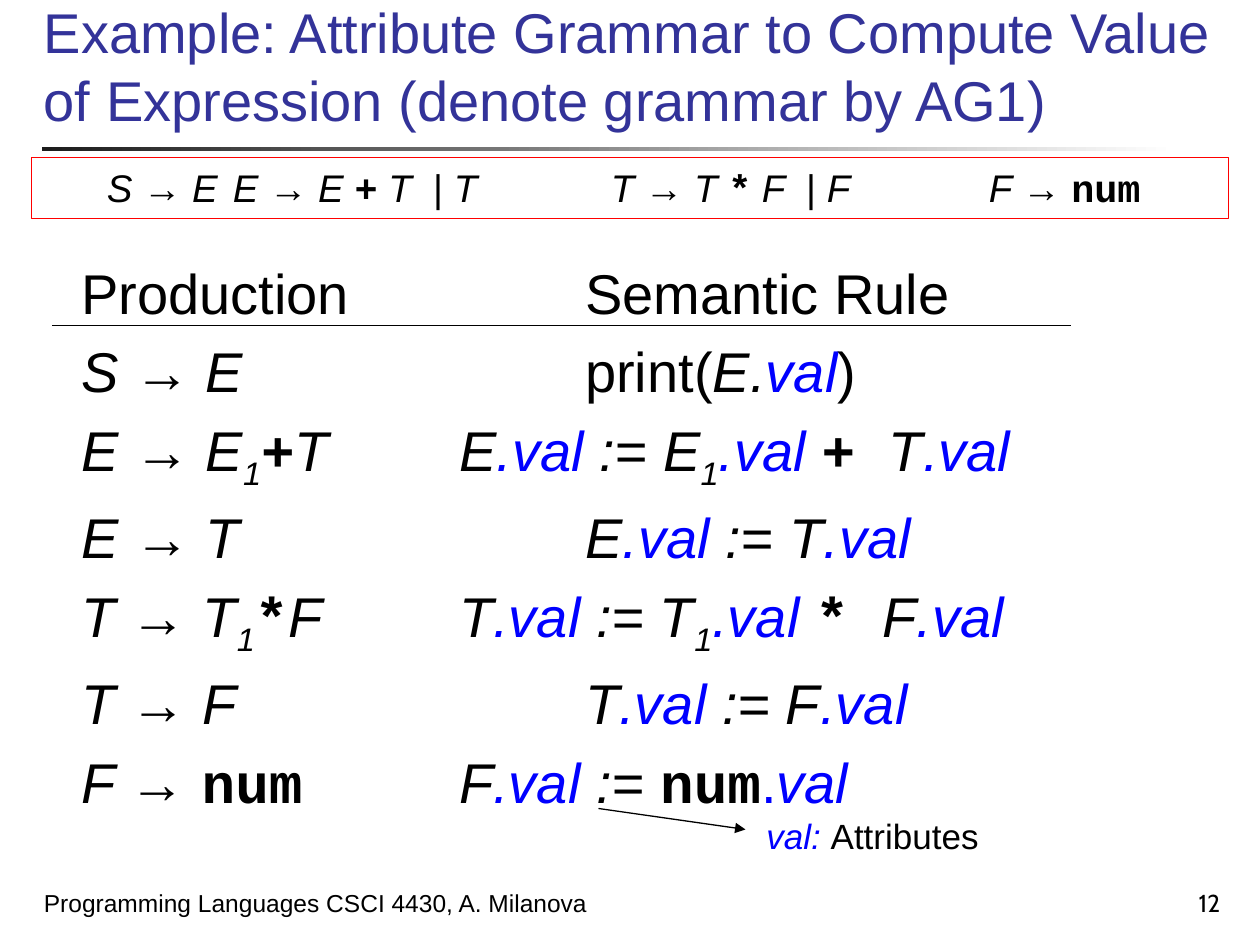
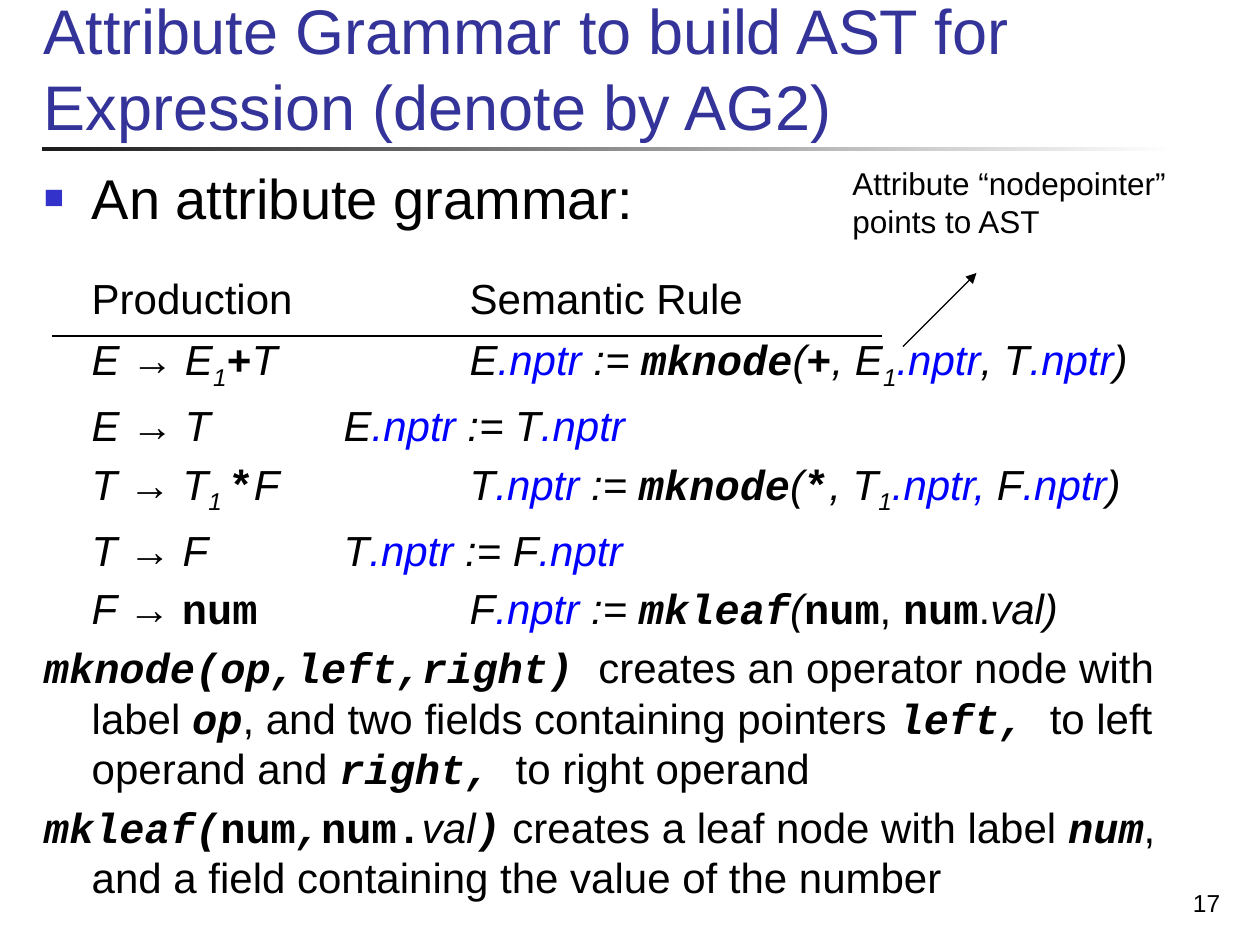
from lxml.etree import SubElement
from pptx import Presentation
from pptx.dml.color import RGBColor
from pptx.enum.shapes import MSO_CONNECTOR as Connector, MSO_SHAPE as Preset
from pptx.enum.text import MSO_ANCHOR as Anchor, PP_ALIGN as Align
from pptx.oxml.ns import qn
from pptx.util import Inches, Pt

COLORS = {"ink": "000000", "title": "333399", "attribute": "0000FF",
          "bullet": "3333CC", "frame": "FF0000", "band": "1C1C1C", "paper": "FFFFFF"}
SANS, MONO, NUMBER_FONT = "Arial", "Courier New", "Cabin"

# The slide is a grid of 120 columns by 90 rows
COLS, ROWS = 120, 90
WIDTH, HEIGHT = Inches(10), Inches(7.5)
HANG, TAB = Inches(0.38), Inches(1)

# Styles for the {marks} inside text
STYLES = {
    "r": {},
    "big": {"size": 32},
    "i": {"italic": True},
    "sub": {"italic": True, "base": -25000},
    "a": {"italic": True, "color": "attribute"},
    "dot": {"color": "attribute"},
    "c": {"bold": True, "font": MONO},
    "ci": {"bold": True, "italic": True, "font": MONO},
}

GRAMMAR = ("{i}S → E\tE → E {c}+{i} T  {r}|{i} T\t\tT → T {c}*{i} F  {r}|"
           "{i} F\t\tF → {c}num")

VALUE_RULES = [
    "\tProduction\t\tSemantic Rule",
    "\t{i}S → E{r}\t\t\tprint({i}E.{a}val{r})",
    "\t{i}E → E{sub}1{c}+{i}T\t\tE{a}.val{i} := E{sub}1{a}.val {c}+ {i}T{a}.val",
    "\t{i}E → T\t\t\tE{a}.val{i} := T{a}.val",
    "\t{i}T → T{sub}1{c}*{i}F\t\tT{a}.val{i} := T{sub}1{a}.val {c}* {i}F{a}.val",
    "\t{i}T → F\t\t\tT{a}.val{i} := F{a}.val",
    "\t{i}F → {c}num{i}\t\tF{a}.val{i} := {c}num{dot}.{a}val",
]

TREE_RULES = [
    "{big}\t{r}Production\t\tSemantic Rule",
    "\t{i}E → E{sub}1{c}+{i}T\t\tE{a}.nptr{i} := {ci}mknode{i}({c}+{i}, E{sub}1"
    "{a}.nptr{i}, T{a}.nptr{i})",
    "\t{i}E → T\t\tE{a}.nptr{i} := T{a}.nptr",
    "\t{i}T → T{sub}1 {c}*{i}F\t\tT{a}.nptr{i} := {ci}mknode{i}({c}*{i}, T{sub}1"
    "{a}.nptr, {i}F{a}.nptr{i})",
    "\t{i}T → F\t\tT{a}.nptr{i} := F{a}.nptr",
    "\t{i}F → {c}num\t{i}\tF{a}.nptr{i} := {ci}mkleaf{i}({c}num{r}, {c}num{r}.{i}val)",
    "{ci}mknode(op,left,right) {r}creates an operator node with label {ci}op"
    "{r}, and two fields containing pointers {ci}left, {r}to left operand and "
    "{ci}right, {r}to right operand",
    "{ci}mkleaf({c}num{ci},{c}num.{i}val{ci}){r} creates a leaf node with label "
    "{ci}num{r}, and a field containing the value of the number",
]


def rgb(name):
    return RGBColor.from_string(COLORS[name])


def x(col):
    return round(WIDTH * col / COLS)


def y(row):
    return round(HEIGHT * row / ROWS)


def place(col, row, cols, rows):
    return x(col), y(row), x(cols), y(rows)


def add_run(paragraph, words, size, color="ink", font=SANS, bold=False,
            italic=False, base=None):
    run = paragraph.add_run()
    run.text = words
    run.font.size, run.font.name = Pt(size), font
    run.font.bold, run.font.italic = bold, italic
    run.font.color.rgb = rgb(color)
    if base:
        run.font._element.set("baseline", str(base))


def add_bullet(props):
    color = SubElement(props, qn("a:buClr"))
    SubElement(color, qn("a:srgbClr"), val=COLORS["bullet"])
    SubElement(props, qn("a:buSzPct"), val="60000")
    SubElement(props, qn("a:buFont"), typeface=SANS)
    SubElement(props, qn("a:buChar"), char="■")


def write(slide, area, lines, size, color="ink", font=SANS, anchor=Anchor.TOP,
          align=Align.LEFT, wrap=True, hanging=False, bullet=False, margin=0,
          outline=None):
    """Put lines of {marked} text in a box at an area of the grid."""
    box = slide.shapes.add_textbox(*place(*area))
    if outline:
        box.line.color.rgb, box.line.width = rgb(outline), Pt(0.75)
    frame = box.text_frame
    frame.word_wrap, frame.vertical_anchor = wrap, anchor
    for number, line in enumerate(lines):
        paragraph = frame.add_paragraph() if number else frame.paragraphs[0]
        paragraph.alignment = align
        props = paragraph._p.get_or_add_pPr()
        props.set("defTabSz", str(TAB))
        if margin:
            props.set("marL", str(margin))
        if hanging:
            props.set("marL", str(HANG))
            props.set("indent", str(-HANG))
            before = SubElement(props, qn("a:spcBef"))
            SubElement(before, qn("a:spcPct"), val="20000")
        if bullet:
            add_bullet(props)
        plain, *marked = line.split("{")
        parts = [("r", plain)] + [piece.split("}") for piece in marked]
        for style, words in parts:
            if words:
                look = {"size": size, "color": color, "font": font, **STYLES[style]}
                add_run(paragraph, words, **look)


def add_line(slide, start, end, arrow=False):
    line = slide.shapes.add_connector(Connector.STRAIGHT, x(start[0]), y(start[1]),
                                      x(end[0]), y(end[1]))
    line.line.color.rgb, line.line.width = rgb("ink"), Pt(0.75)
    if arrow:
        SubElement(line.line._get_or_add_ln(), qn("a:tailEnd"), type="triangle")
    SubElement(line._element.spPr, qn("a:effectLst"))


def start_slide(deck, title, title_row, title_size, number, number_font=SANS):
    """Blank slide with the fading band, the title and the page number."""
    slide = deck.slides.add_slide(deck.slide_layouts[6])
    band = slide.shapes.add_shape(Preset.RECTANGLE, *place(4, 14, 108, 0.4))
    band.shadow.inherit = False
    band.line.fill.background()
    band.fill.gradient()
    band.fill.gradient_angle = 0
    for stop, color in zip(band.fill.gradient_stops, ("band", "paper")):
        stop.color.rgb = rgb(color)
    write(slide, (3, title_row, 114.2, 13.2), [title], title_size, color="title",
          anchor=Anchor.BOTTOM)
    write(slide, (92.4, 82, 25, 6), [number], 14, font=number_font,
          anchor=Anchor.BOTTOM, align=Align.RIGHT)
    return slide


def value_slide(deck):
    slide = start_slide(
        deck, "Example: Attribute Grammar to Compute Value of Expression "
        "(denote grammar by AG1)", 0, 32, "12", NUMBER_FONT)
    write(slide, (3, 82, 62, 6), ["Programming Languages CSCI 4430, A. Milanova"],
          14, anchor=Anchor.BOTTOM)
    # Grammar and its semantic rules
    write(slide, (2, 24, 114.5, 58.3), VALUE_RULES, 32, hanging=True)
    write(slide, (3, 15, 114, 5.8), [GRAMMAR], 22, margin=Inches(0.5),
          outline="frame")
    add_line(slide, (5, 31), (102, 31))
    # Remark on the attribute
    add_line(slide, (57, 77), (71, 79), arrow=True)
    write(slide, (71.8, 77, 23.2, 5.2), ["{a}val: {r}Attributes"], 20, wrap=False)


def tree_slide(deck):
    slide = start_slide(
        deck, "Attribute Grammar to build AST for Expression (denote by AG2)",
        1, 36, "17")
    # Lead-in and rules
    write(slide, (3, 15, 114.5, 9), ["An attribute grammar:"], 32, hanging=True,
          bullet=True)
    write(slide, (3, 24, 114.5, 63), TREE_RULES, 24, hanging=True)
    add_line(slide, (5, 32), (84, 32))
    # Remark on the attribute
    add_line(slide, (86, 33), (93, 26), arrow=True)
    write(slide, (80, 15, 33.7, 8.5), ["Attribute “nodepointer”", "points to AST"],
          18, wrap=False)


def main():
    deck = Presentation()
    deck.slide_width, deck.slide_height = WIDTH, HEIGHT
    value_slide(deck)
    tree_slide(deck)
    deck.save("out.pptx")


main()
